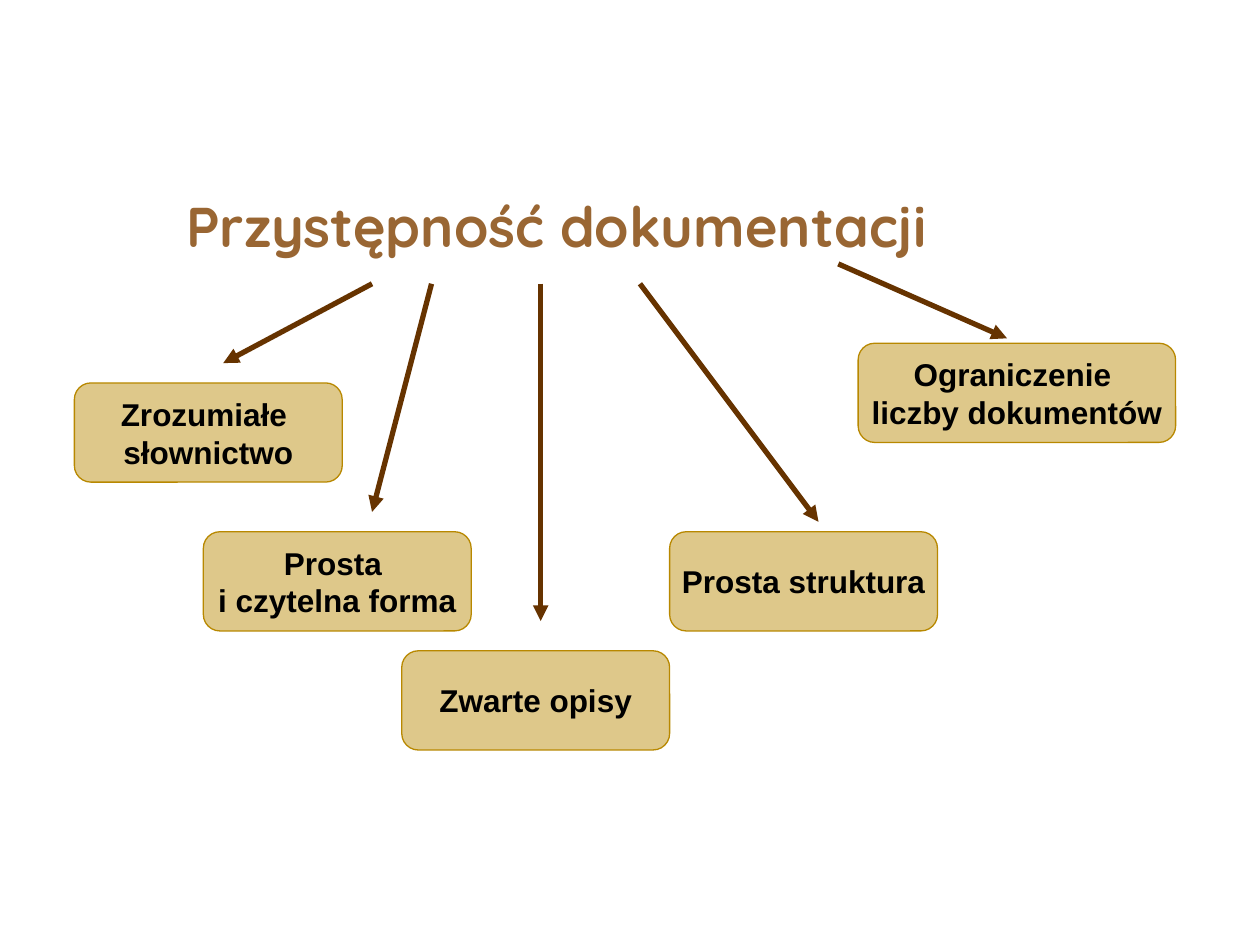
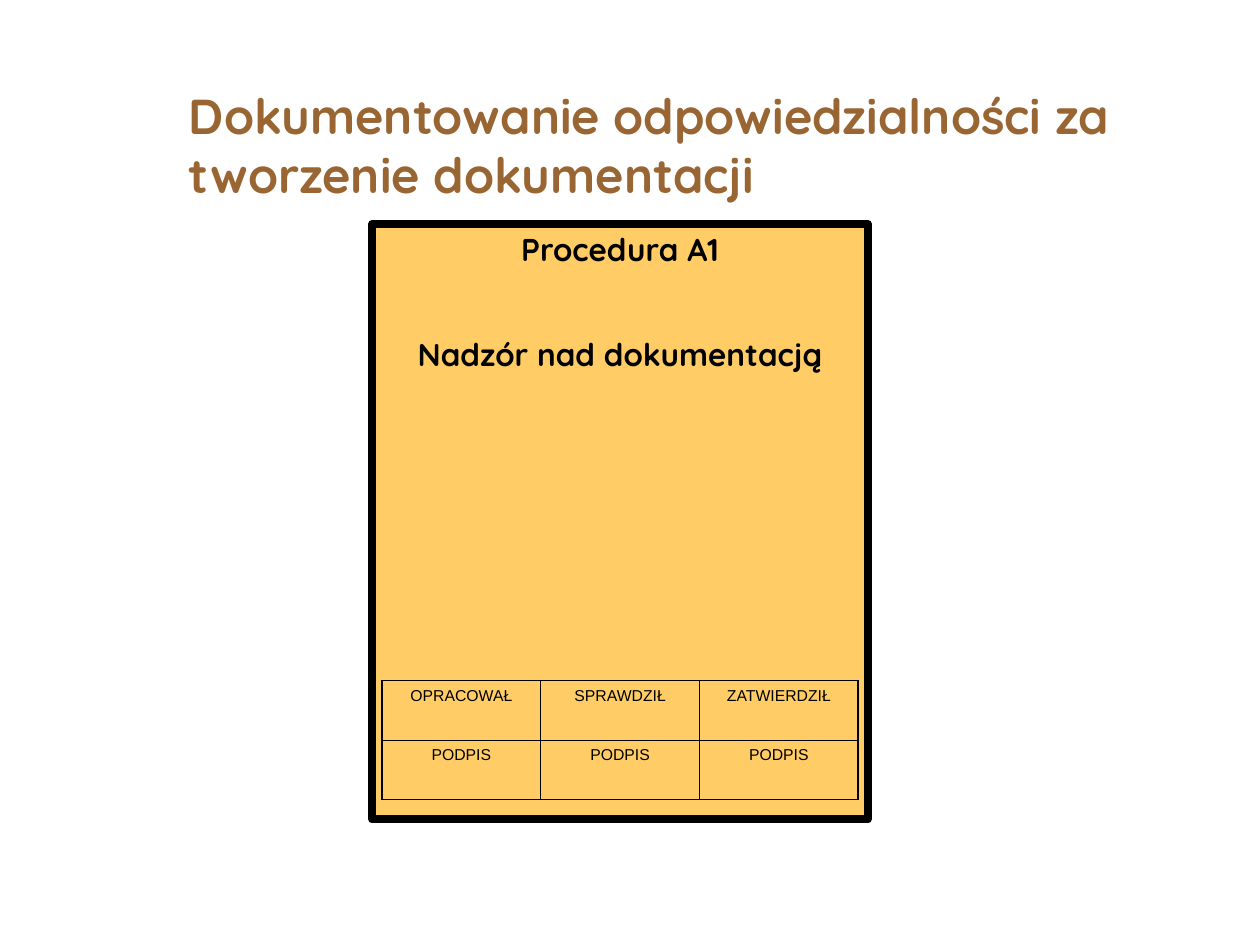
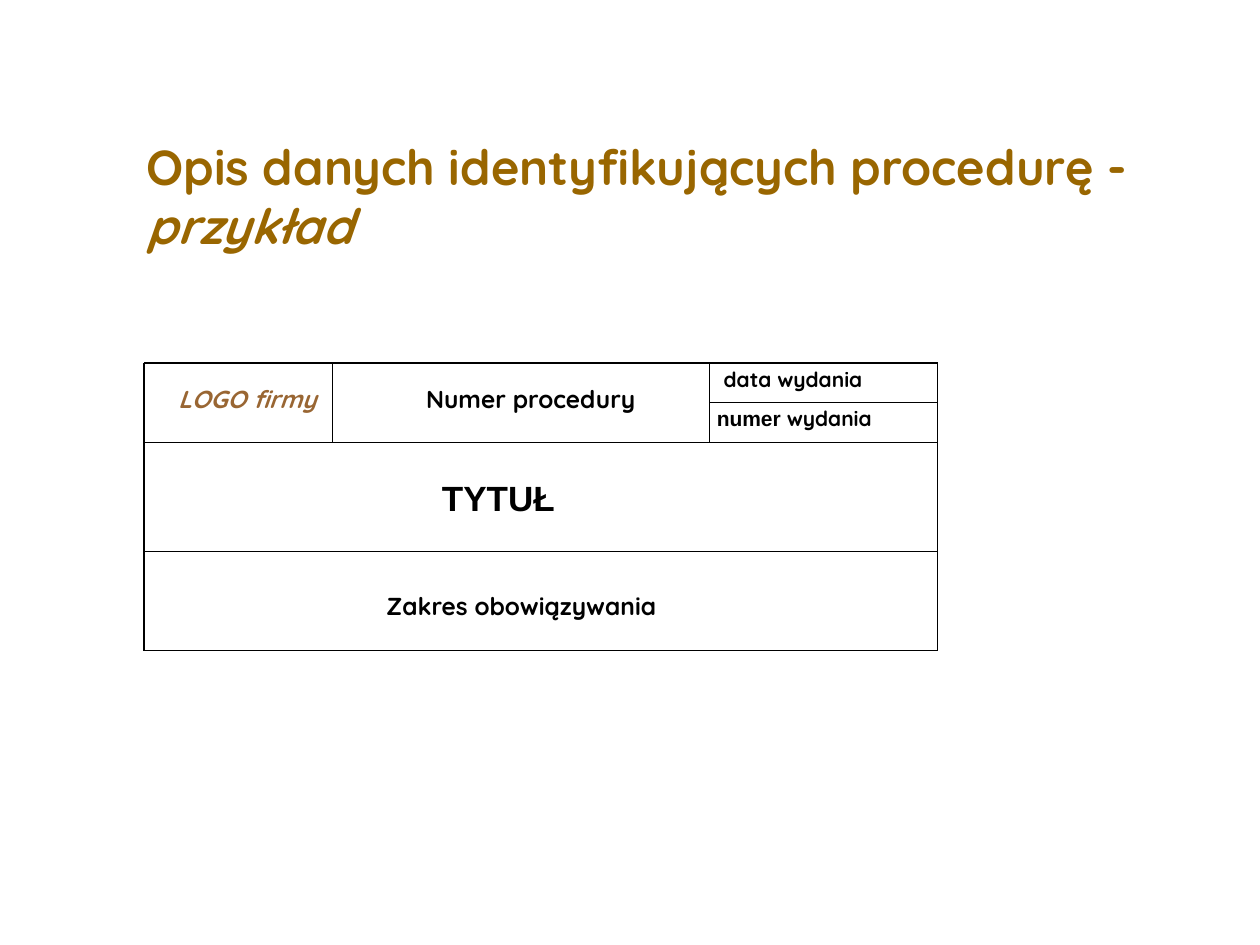
from dataclasses import dataclass

import pptx
import pptx.dml.color
import pptx.enum.shapes
import pptx.enum.text
import pptx.oxml
import pptx.oxml.ns
import pptx.util
from pptx.util import Cm

HEADING_FONT, PLAIN_FONT = "Quicksand", "Arial"
BLACK, BROWN, DARK_BROWN, OLIVE = "000000", "996633", "663300", "996600"
GOLD, PAPER = "B88800", "FFCC66"
TITLE_ONLY_LAYOUT = 5
CENTER = pptx.enum.text.PP_ALIGN.CENTER
MIDDLE = pptx.enum.text.MSO_ANCHOR.MIDDLE
SHAPES = pptx.enum.shapes.MSO_SHAPE


@dataclass
class Span:
    text: str
    size: float
    font: str = HEADING_FONT
    color: str = BLACK
    bold: bool = True
    italic: bool = False


@dataclass
class Branch:
    """One box, its lines of text and the arrow that leads to it, in cm."""
    lines: list[str]
    left: float
    top: float
    width: float
    arrow_start: tuple[float, float]
    arrow_end: tuple[float, float]


@dataclass
class Label:
    spans: list[Span]
    left: float
    top: float
    width: float
    indent: float = 1.09


BRANCHES = [
    Branch(["Zrozumiałe ", "słownictwo"], 1.5, 7.72, 5.4, (7.5, 5.72), (4.5, 7.32)),
    Branch(["Prosta ", "i czytelna forma"], 4.1, 10.72, 5.4, (8.7, 5.72), (7.5, 10.32)),
    Branch(["Zwarte opisy"], 8.1, 13.12, 5.4, (10.9, 5.72), (10.9, 12.52)),
    Branch(["Prosta struktura"], 13.5, 10.72, 5.4, (12.9, 5.72), (16.5, 10.52)),
    Branch(["Ograniczenie ", "liczby dokumentów"], 17.3, 6.92, 6.4, (16.9, 5.32), (20.3, 6.82)),
]
BRANCH_HEIGHT = 2.0

SIGNATURES = [["OPRACOWAŁ", "SPRAWDZIŁ", "ZATWIERDZIŁ"], ["PODPIS"] * 3]

FORM_LEFT, LOGO_RIGHT, NUMBER_RIGHT, FORM_RIGHT = 2.9, 6.7, 14.3, 18.9
FORM_TOP, DATE_BOTTOM, HEADER_BOTTOM, NAME_BOTTOM, FORM_BOTTOM = 7.32, 8.12, 8.92, 11.12, 13.12
LABEL_HEIGHT = 1.8
LABELS = [
    Label([Span("LOGO firmy", 14, color=BROWN, italic=True)], 2.5, 7.14, 5.08),
    Label([Span("Numer procedury", 14)], 7.5, 7.14, 6),
    Label([Span("data wydania", 12)], 13.5, 6.74, 6),
    Label([Span("numer", 12, PLAIN_FONT), Span(" wydania", 12)], 13.5, 7.52, 6, 0.95),
    Label([Span("TYTUŁ", 20, PLAIN_FONT)], 7.5, 9.12, 6, 1.41),
    Label([Span("Zakres obowiązywania", 14)], 6.7, 11.32, 8),
]


def rgb(color: str) -> pptx.dml.color.RGBColor:
    return pptx.dml.color.RGBColor.from_string(color)


def write(para, spans: list[Span]) -> None:
    for span in spans:
        run = para.add_run()
        run.text = span.text
        font = run.font
        font.name, font.size = span.font, pptx.util.Pt(span.size)
        font.bold, font.italic = span.bold, span.italic
        font.color.rgb = rgb(span.color)


def add_page(deck, spans: list[Span], left: float, top: float, width: float):
    """Add a page with a formatted title and return it."""
    page = deck.slides.add_slide(deck.slide_layouts[TITLE_ONLY_LAYOUT])
    title = page.shapes.title
    title.left, title.top, title.width, title.height = Cm(left), Cm(top), Cm(width), Cm(2.03)
    frame = title.text_frame
    frame.auto_size = pptx.enum.text.MSO_AUTO_SIZE.NONE
    frame.vertical_anchor = MIDDLE
    frame.paragraphs[0].alignment = pptx.enum.text.PP_ALIGN.LEFT
    write(frame.paragraphs[0], spans)
    return page


def add_box(page, kind, left: float, top: float, width: float, height: float,
            fill: str, line: str, line_width: float):
    box = page.shapes.add_shape(kind, Cm(left), Cm(top), Cm(width), Cm(height))
    box.shadow.inherit = False
    box.fill.solid()
    box.fill.fore_color.rgb = rgb(fill)
    box.line.color.rgb = rgb(line)
    box.line.width = pptx.util.Pt(line_width)
    return box


def add_centered_lines(frame, lines: list[Span], gaps: list[float]) -> None:
    for number, (span, gap) in enumerate(zip(lines, gaps)):
        para = frame.add_paragraph() if number else frame.paragraphs[0]
        para.alignment = CENTER
        para.space_before = pptx.util.Pt(gap)
        write(para, [span])


def set_opacity(fill, percent: int) -> None:
    color = fill._xPr.find(".//" + pptx.oxml.ns.qn("a:srgbClr"))
    alpha = pptx.oxml.parse_xml(f'<a:alpha {pptx.oxml.ns.nsdecls("a")} val="{percent * 1000}"/>')
    color.append(alpha)


def add_line(page, start: tuple[float, float], end: tuple[float, float],
             color: str = BLACK, width: float = 0.75, arrow: bool = False) -> None:
    line = page.shapes.add_connector(pptx.enum.shapes.MSO_CONNECTOR.STRAIGHT,
                                     *(Cm(value) for value in start + end))
    line.line.color.rgb = rgb(color)
    line.line.width = pptx.util.Pt(width)
    namespace = pptx.oxml.ns.nsdecls("a")
    if arrow:
        head = pptx.oxml.parse_xml(f'<a:tailEnd {namespace} type="triangle"/>')
        line.line._get_or_add_ln().append(head)
    line._element.spPr.append(pptx.oxml.parse_xml(f"<a:effectLst {namespace}/>"))


def set_borders(cell, widths: dict[str, float]) -> None:
    """Draw black borders; the widths are keyed L, R, T, B, in that order."""
    properties = cell._tc.get_or_add_tcPr()
    for place, (side, width) in enumerate(widths.items()):
        properties.insert(place, pptx.oxml.parse_xml(
            f'<a:ln{side} {pptx.oxml.ns.nsdecls("a")} w="{pptx.util.Pt(width)}">'
            f'<a:solidFill><a:srgbClr val="{BLACK}"/></a:solidFill></a:ln{side}>'))


def add_signature_table(page) -> None:
    row_count, column_count = len(SIGNATURES), len(SIGNATURES[0])
    table = page.shapes.add_table(row_count, column_count, Cm(7.7), Cm(13.72),
                                  Cm(3.2 * column_count), Cm(1.2 * row_count)).table
    table.first_row = table.horz_banding = False
    outer, inner = 1.08, 0.45
    for row, texts in enumerate(SIGNATURES):
        for column, text in enumerate(texts):
            cell = table.cell(row, column)
            cell.fill.background()
            add_centered_lines(cell.text_frame, [Span(text, 9, PLAIN_FONT, bold=False)], [2.2])
            edges = {"L": column == 0, "R": column == column_count - 1,
                     "T": row == 0, "B": row == row_count - 1}
            set_borders(cell, {side: outer if edge else inner for side, edge in edges.items()})


def build_accessibility_page(deck) -> None:
    page = add_page(deck, [Span("Przystępność dokumentacji", 32, color=BROWN)], 3.5, 3.53, 19.7)
    for branch in BRANCHES:
        box = add_box(page, SHAPES.FLOWCHART_ALTERNATE_PROCESS, branch.left, branch.top,
                      branch.width, BRANCH_HEIGHT, GOLD, GOLD, 0.75)
        set_opacity(box.fill, 46)
        frame = box.text_frame
        frame.word_wrap = False
        frame.vertical_anchor = MIDDLE
        lines = [Span(text, 18, PLAIN_FONT) for text in branch.lines]
        add_centered_lines(frame, lines, [0] * len(lines))
    for branch in BRANCHES:
        add_line(page, branch.arrow_start, branch.arrow_end, DARK_BROWN, 3, arrow=True)


def build_responsibility_page(deck) -> None:
    title = "Dokumentowanie odpowiedzialności za tworzenie dokumentacji"
    page = add_page(deck, [Span(title, 28, color=BROWN)], 3.55, 1.9, 19.7)
    cover = add_box(page, SHAPES.RECTANGLE, 7.5, 4.52, 10, 12, PAPER, BLACK, 4.5)
    cover.text_frame.word_wrap = True
    cover.text_frame.vertical_anchor = pptx.enum.text.MSO_ANCHOR.TOP
    lines = [Span("Procedura A1", 18), Span("Nadzór nad dokumentacją", 18)]
    add_centered_lines(cover.text_frame, lines, [4.5, 38])
    add_signature_table(page)


def build_identification_page(deck) -> None:
    page = add_page(deck, [Span("Opis danych identyfikujących procedurę - ", 28, color=OLIVE),
                           Span("przykład", 28, color=OLIVE, italic=True)], 2.7, 2.92, 21.2)
    for y in (FORM_TOP, HEADER_BOTTOM, NAME_BOTTOM, FORM_BOTTOM):
        add_line(page, (FORM_LEFT, y), (FORM_RIGHT, y))
    for x in (FORM_LEFT, FORM_RIGHT):
        add_line(page, (x, FORM_TOP), (x, FORM_BOTTOM))
    for x in (LOGO_RIGHT, NUMBER_RIGHT):
        add_line(page, (x, FORM_TOP), (x, HEADER_BOTTOM))
    add_line(page, (NUMBER_RIGHT, DATE_BOTTOM), (FORM_RIGHT, DATE_BOTTOM))
    for label in LABELS:
        box = page.shapes.add_textbox(Cm(label.left), Cm(label.top),
                                      Cm(label.width), Cm(LABEL_HEIGHT))
        frame = box.text_frame
        frame.word_wrap = True
        frame.vertical_anchor = MIDDLE
        frame.margin_left = Cm(label.indent)
        write(frame.paragraphs[0], label.spans)


def main() -> None:
    deck = pptx.Presentation()
    deck.slide_width, deck.slide_height = Cm(25.4), Cm(19.05)
    build_accessibility_page(deck)
    build_responsibility_page(deck)
    build_identification_page(deck)
    deck.save("out.pptx")


if __name__ == "__main__":
    main()
